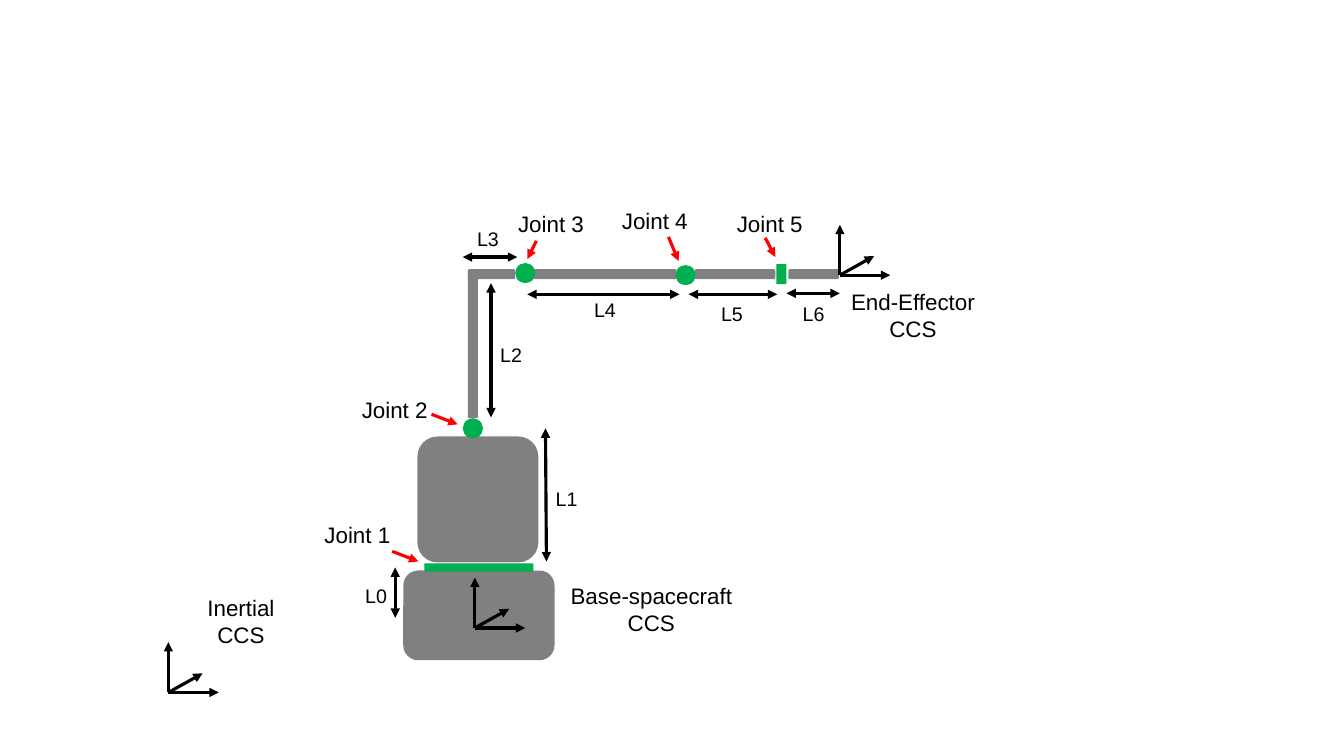
from lxml.etree import SubElement
from pptx import Presentation
from pptx.dml.color import RGBColor
from pptx.enum.shapes import MSO_CONNECTOR, MSO_SHAPE
from pptx.enum.text import MSO_AUTO_SIZE, PP_ALIGN
from pptx.oxml.ns import qn
from pptx.util import Inches, Pt

GRAY, GREEN, RED, BLACK = "808080", "00B050", "FF0000", "000000"
ROUNDED, OVAL, RECTANGLE = MSO_SHAPE.ROUNDED_RECTANGLE, MSO_SHAPE.OVAL, MSO_SHAPE.RECTANGLE


def paint(target, color):
    """Fill the target with a solid hex colour."""
    target.solid()
    target.fore_color.rgb = RGBColor.from_string(color)


def write(frame, text, size=16, color=BLACK, font="Arial", align=PP_ALIGN.CENTER):
    """Put each line of the text in its own formatted paragraph."""
    for number, line in enumerate(text.split("\n")):
        para = frame.paragraphs[0] if number == 0 else frame.add_paragraph()
        para.alignment = align
        span = para.add_run()
        span.text = line
        span.font.name, span.font.size = font, Pt(size)
        paint(span.font.fill, color)


class Diagram:
    """Draw on a page whose grid has ten columns and ten rows per inch."""

    def __init__(self, page, cell=0.1, weight=2.25):
        """Keep the page, the cell size and the line weight."""
        self.page, self.cell, self.weight = page, cell, weight

    def lengths(self, *cells):
        """Turn grid cells into slide lengths."""
        return [Inches(count * self.cell) for count in cells]

    def block(self, kind, color, *place):
        """Add a plain filled shape at left, top, width, height."""
        shape = self.page.shapes.add_shape(kind, *self.lengths(*place))
        shape.shadow.inherit = False
        paint(shape.fill, color)
        shape.line.fill.background()

    def label(self, text, *place, **style):
        """Add an unwrapped text box at left, top, width, height."""
        box = self.page.shapes.add_textbox(*self.lengths(*place))
        box.text_frame.word_wrap = False
        box.text_frame.auto_size = MSO_AUTO_SIZE.SHAPE_TO_FIT_TEXT
        write(box.text_frame, text, **style)

    def arrow(self, *ends, color=BLACK, double=False):
        """Add a straight arrow, with a second head if double."""
        link = self.page.shapes.add_connector(MSO_CONNECTOR.STRAIGHT, *self.lengths(*ends))
        paint(link.line.fill, color)
        link.line.width = Pt(self.weight)
        properties = link.element.spPr
        outline = properties.find(qn("a:ln"))
        for tag in ("a:headEnd", "a:tailEnd") if double else ("a:tailEnd",):
            SubElement(outline, qn(tag), type="triangle")
        SubElement(properties, qn("a:effectLst"))

    def joint(self, name, left, top, *ends):
        """Name a joint and point at it in red."""
        self.label(name, left, top, 8.6, 3.7, align=PP_ALIGN.LEFT)
        self.arrow(*ends, color=RED)

    def dimension(self, name, left, top, *ends):
        """Add a double arrow with its length label."""
        self.arrow(*ends, double=True)
        self.label(name, left, top, 4.2, 3.4, size=14)

    def frame_axes(self, column, row, name, *place):
        """Add three axes from one origin and the frame's name."""
        for across, up in ((5, 0), (0, 5), (3.4, 1.9)):
            self.arrow(column, row, column + across, row - up)
        self.label(f"{name}\nCCS", *place)


LINKS = [
    (41.4, 43.3, 12, 12.5), (46.4, 27.1, 1, 14.4), (52.9, 26.7, 14.2, 1), (68.9, 26.7, 8, 1),
    (78.2, 26.7, 5, 1), (40, 56.6, 15, 8.9), (46.4, 26.7, 4.7, 1),
]
JOINTS = [
    (OVAL, 67, 26.3, 2, 2), (OVAL, 45.9, 41.5, 2, 2), (OVAL, 51.1, 26.1, 2, 2),
    (RECTANGLE, 42.1, 55.9, 10.8, 0.8), (RECTANGLE, 77, 26.2, 1, 2),
]
JOINT_NAMES = [
    ("Joint 1", 31.2, 51.2, 38.9, 54.7, 41.5, 55.7),
    ("Joint 2", 34.9, 38.8, 42.8, 41.1, 45.4, 42.1),
    ("Joint 3", 50.4, 20.4, 53.2, 23.9, 52.3, 25.7),
    ("Joint 4", 60.7, 20.1, 66.3, 23.5, 67.3, 25.9),
    ("Joint 5", 72.1, 20.4, 75.9, 23.6, 76.9, 25.5),
]
DIMENSIONS = [
    ("L0", 35.2, 57.4, 39.2, 56.3, 39.2, 61.3),
    ("L1", 54.1, 47.8, 54.1, 42.5, 54.2, 55.7),
    ("L2", 48.6, 33.5, 48.7, 28.1, 48.7, 41.4),
    ("L3", 46.3, 22, 51.3, 25.5, 45.9, 25.5),
    ("L4", 57.9, 29.1, 67.4, 29.2, 52.3, 29.2),
    ("L5", 70.5, 29.5, 77.1, 29.2, 68.3, 29.2),
    ("L6", 78.6, 29.5, 83.3, 29.1, 78, 29.1),
]
FRAMES = [
    (47.1, 62.3, "Base-spacecraft", 55.5, 57.3, 18.2, 6.4),
    (83.3, 27.3, "End-Effector", 83.3, 28.1, 14.5, 6.4),
    (16.7, 68.7, "Inertial", 19.5, 58.5, 8.8, 6.4),
]


def main():
    """Build the robot arm slide and save it."""
    deck = Presentation()
    deck.slide_width, deck.slide_height = Inches(13.33), Inches(7.5)
    diagram = Diagram(deck.slides.add_slide(deck.slide_layouts[6]))
    for place in LINKS:
        diagram.block(ROUNDED, GRAY, *place)
    for kind, *place in JOINTS:
        diagram.block(kind, GREEN, *place)
    for joint in JOINT_NAMES:
        diagram.joint(*joint)
    for dimension in DIMENSIONS:
        diagram.dimension(*dimension)
    for axes in FRAMES:
        diagram.frame_axes(*axes)
    deck.save("out.pptx")


if __name__ == "__main__":
    main()
